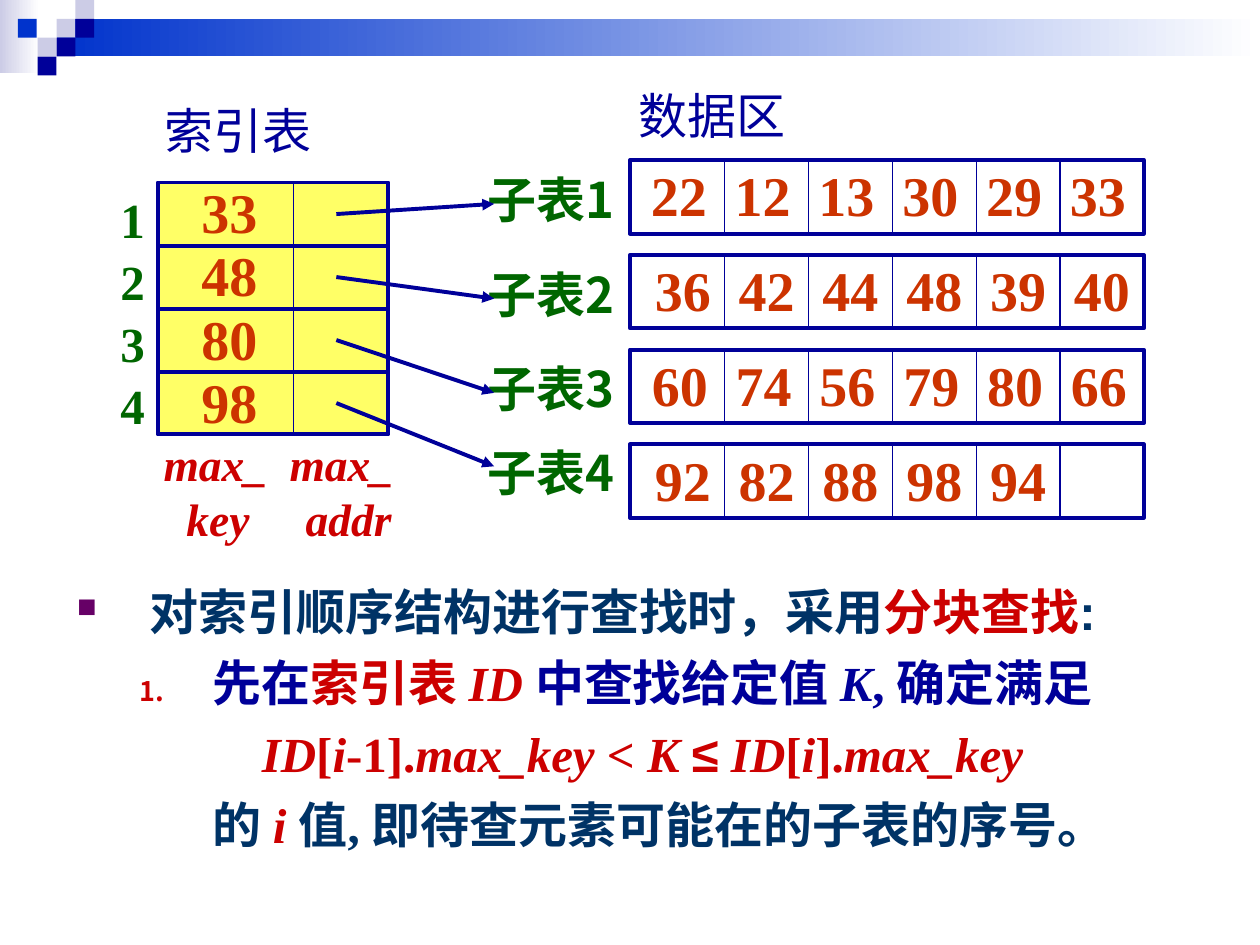
from lxml.etree import SubElement
from pptx import Presentation
from pptx.dml.color import RGBColor
from pptx.enum.shapes import MSO_CONNECTOR, MSO_SHAPE
from pptx.oxml.ns import qn
from pptx.util import Cm, Pt

COLORS = {
    "navy": "000099", "blue": "0033CC", "lilac": "CCCCE6", "white": "FFFFFF",
    "yellow": "FFFF66", "orange": "CC3300", "green": "006600", "red": "CC0000",
    "teal": "003366", "purple": "660066",
}
SERIF, SANS, CJK = "Times New Roman", "Arial", "Noto Sans CJK SC"

# Data blocks: six cells each, the first one a little wider
BLOCK_LEFT, BLOCK_TOP, BLOCK_PITCH = 12.7, 3.23, 1.91
BLOCK_WIDTH, BLOCK_HEIGHT = 10.36, 1.48
FIRST_DIVIDER, CELL, CELLS = 14.61, 1.69, 6
# Index table
INDEX_LEFT, INDEX_TOP, INDEX_WIDTH, INDEX_ROW = 3.18, 3.68, 4.65, 1.27
INDEX_DIVIDER = 5.92

# Numbers, text left, label top, arrow end
BLOCKS = [
    ([22, 12, 13, 30, 29, 33], 12.87, 3.3, 4.11),
    ([36, 42, 44, 48, 39, 40], 12.95, 5.21, 6.02),
    ([60, 74, 56, 79, 80, 66], 12.89, 7.11, 7.92),
    ([92, 82, 88, 98, 94], 12.95, 8.79, 9.4),
]
MAX_KEYS = ["33", "48", "80", "98"]


def rgb(name):
    return RGBColor.from_string(COLORS[name])


def add_rect(s, x, y, w, h, fill, line=None, fade=None):
    """Rectangle with a plain fill, or fading to the right into `fade`."""
    sp = s.shapes.add_shape(MSO_SHAPE.RECTANGLE, Cm(x), Cm(y), Cm(w), Cm(h))
    sp.shadow.inherit = False
    if fade:
        sp.fill.gradient()
        sp.fill.gradient_angle = 0
        for stop, color in zip(sp.fill.gradient_stops, (fill, fade)):
            stop.color.rgb = rgb(color)
    else:
        sp.fill.solid()
        sp.fill.fore_color.rgb = rgb(fill)
    if line:
        sp.line.color.rgb = rgb(line)
        sp.line.width = Pt(2.25)
    else:
        sp.line.fill.background()


def add_line(s, x1, y1, x2, y2, width=0.75, arrow=False):
    cn = s.shapes.add_connector(MSO_CONNECTOR.STRAIGHT, Cm(x1), Cm(y1), Cm(x2), Cm(y2))
    cn.line.color.rgb = rgb("navy")
    cn.line.width = Pt(width)
    if arrow:
        SubElement(cn.line._get_or_add_ln(), qn("a:tailEnd"), type="triangle")
    SubElement(cn._element.spPr, qn("a:effectLst"))


def add_box(s, x, y, w, h):
    tf = s.shapes.add_textbox(Cm(x), Cm(y), Cm(w), Cm(h)).text_frame
    tf.word_wrap = True
    return tf


def add_paragraph(tf, first, line=None, before=0, left=0, hanging=0, bullet=None):
    """Paragraph with indents in cm; bullet is (tag, attributes, color)."""
    p = tf.paragraphs[0] if first else tf.add_paragraph()
    pPr = p._p.get_or_add_pPr()
    pPr.set("marL", str(Cm(left)))
    pPr.set("indent", str(-Cm(hanging)))
    if bullet:
        tag, attributes, color = bullet
        SubElement(SubElement(pPr, qn("a:buClr")), qn("a:srgbClr"), val=COLORS[color])
        SubElement(pPr, qn("a:buSzPct"), val="55000")
        SubElement(pPr, qn(tag), **attributes)
    if line:
        p.line_spacing = Pt(line)
    if before and not first:
        p.space_before = Pt(before)
    return p


def add_run(p, text, color, size=28, font=SERIF, bold=True, italic=False):
    r = p.add_run()
    r.text = text
    r.font.size = Pt(size)
    r.font.name = font
    r.font.bold = bold
    r.font.italic = italic
    r.font.color.rgb = rgb(color)
    SubElement(r._r.get_or_add_rPr(), qn("a:ea"), typeface=CJK)


def add_column(s, x, y, w, h, items, color, size, line, italic=False, indent=0):
    """Stacked lines of text; `indent` shifts every line but the first."""
    tf = add_box(s, x, y, w, h)
    for i, item in enumerate(items):
        p = add_paragraph(tf, i == 0, line, left=indent if i else 0)
        add_run(p, item, color, size, italic=italic)


def add_label(s, x, y, text, color, w=4, h=1.45, **style):
    add_run(add_paragraph(add_box(s, x, y, w, h), True), text, color, **style)


def draw_header(s):
    add_rect(s, 0, 0, 0.79, 1.47, "lilac", fade="white")
    add_rect(s, 1.14, 0.38, 24.26, 0.76, "blue", fade="white")
    for x, y, color in [(1.14, 0.38, "lilac"), (1.52, 0, "lilac"), (1.52, 0.38, "navy"),
                        (0.76, 0.76, "lilac"), (0.36, 0.38, "blue"),
                        (1.14, 0.76, "navy"), (0.76, 1.14, "navy")]:
        add_rect(s, x, y, 0.38, 0.38, color)


def draw_blocks(s):
    add_label(s, 12.63, 1.6, "数据区", "navy", bold=False)
    for i, (numbers, text_left, label_top, _) in enumerate(BLOCKS):
        y = BLOCK_TOP + i * BLOCK_PITCH
        add_rect(s, BLOCK_LEFT, y, BLOCK_WIDTH, BLOCK_HEIGHT, "white", "navy")
        for k in range(CELLS - 1):
            x = FIRST_DIVIDER + k * CELL
            add_line(s, x, y, x, y + BLOCK_HEIGHT)
        for k, number in enumerate(numbers):
            add_label(s, text_left + k * CELL, y - 0.11, str(number), "orange",
                      w=1.8, h=1.63, size=32)
        add_label(s, 9.58, label_top, f"子表{i + 1}", "green", font=CJK)


def draw_index(s):
    rows = len(MAX_KEYS)
    bottom = INDEX_TOP + rows * INDEX_ROW
    add_label(s, 3.07, 1.9, "索引表", "navy", bold=False)
    add_rect(s, INDEX_LEFT, INDEX_TOP, INDEX_WIDTH, rows * INDEX_ROW, "yellow", "navy")
    add_column(s, 3.81, 3.53, 1.63, 5.41, MAX_KEYS, "orange", 32, 36.2)
    for i in range(1, rows):
        y = INDEX_TOP + i * INDEX_ROW
        add_line(s, INDEX_LEFT, y, INDEX_LEFT + INDEX_WIDTH, y, 2.25)
    add_line(s, INDEX_DIVIDER, INDEX_TOP, INDEX_DIVIDER, bottom)
    add_column(s, 2.18, 3.63, 1, 5.23, "1234", "green", 28, 35.4)
    for i, (*_, arrow_end) in enumerate(BLOCKS):
        add_line(s, 6.78, INDEX_TOP + (i + 0.5) * INDEX_ROW, 9.96, arrow_end, 2.25, True)
    for x, name, indent in [(3.05, "key", 0.46), (5.59, "addr", 0.32)]:
        add_column(s, x, 8.66, 2.8, 2.46, ["max_", name], "red", 26, 31.4, True, indent)


def draw_explanation(s):
    formula = [("ID", True), ("[", False), ("i", True), ("-1].", False),
               ("max_key", True), (" < ", False), ("K ", True), ("≤", False),
               (" ID", True), ("[", False), ("i", True), ("].", False), ("max_key", True)]
    tf = add_box(s, 1.3, 11.53, 23.5, 6.15)
    spacing = {"line": 35.4, "before": 5.2}

    p = add_paragraph(tf, True, **spacing, left=1.47, hanging=1.47,
                      bullet=("a:buChar", {"char": "■"}, "purple"))
    for text, color in [("对索引顺序结构进行查找时，采用", "teal"), ("分块查找", "red"), (":", "teal")]:
        add_run(p, text, color, font=SANS)

    p = add_paragraph(tf, False, **spacing, left=2.74, hanging=1.47,
                      bullet=("a:buAutoNum", {"type": "arabicPeriod"}, "red"))
    for text, color, italic in [("先在", "navy", False), ("索引表 ", "red", False),
                                ("ID ", "red", True), ("中查找给定值 ", "navy", False),
                                ("K", "navy", True), (", 确定满足", "navy", False)]:
        add_run(p, text, color, italic=italic)

    p = add_paragraph(tf, False, **spacing, left=3.73)
    for text, italic in formula:
        add_run(p, text, "red", font=SANS if text == "≤" else SERIF, italic=italic)

    p = add_paragraph(tf, False, **spacing, left=2.74)
    add_run(p, "的 ", "teal")
    add_run(p, "i ", "red", italic=True)
    add_run(p, "值, 即待查元素可能在的子表的序号。", "teal")


def main():
    prs = Presentation()
    prs.slide_width, prs.slide_height = Cm(25.4), Cm(19.05)
    s = prs.slides.add_slide(prs.slide_layouts[6])
    draw_header(s)
    draw_explanation(s)
    draw_blocks(s)
    draw_index(s)
    prs.save("out.pptx")


if __name__ == "__main__":
    main()
